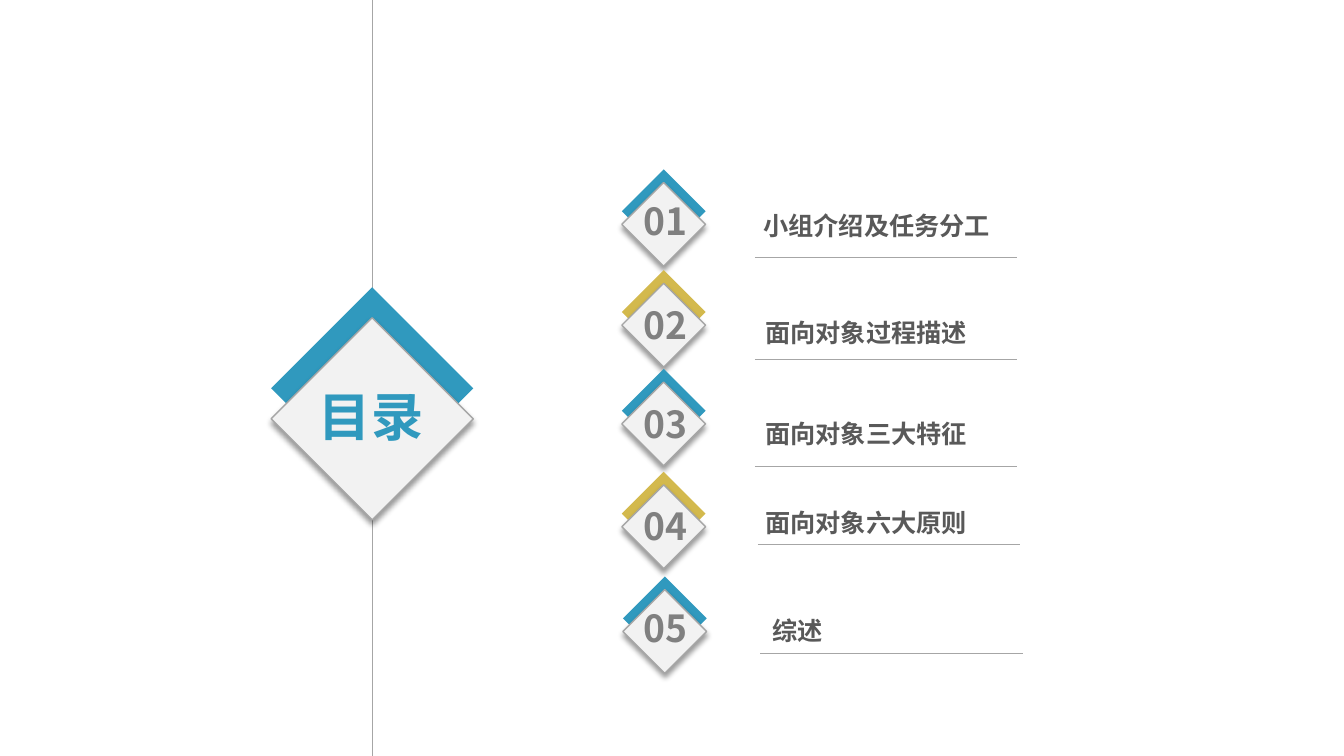
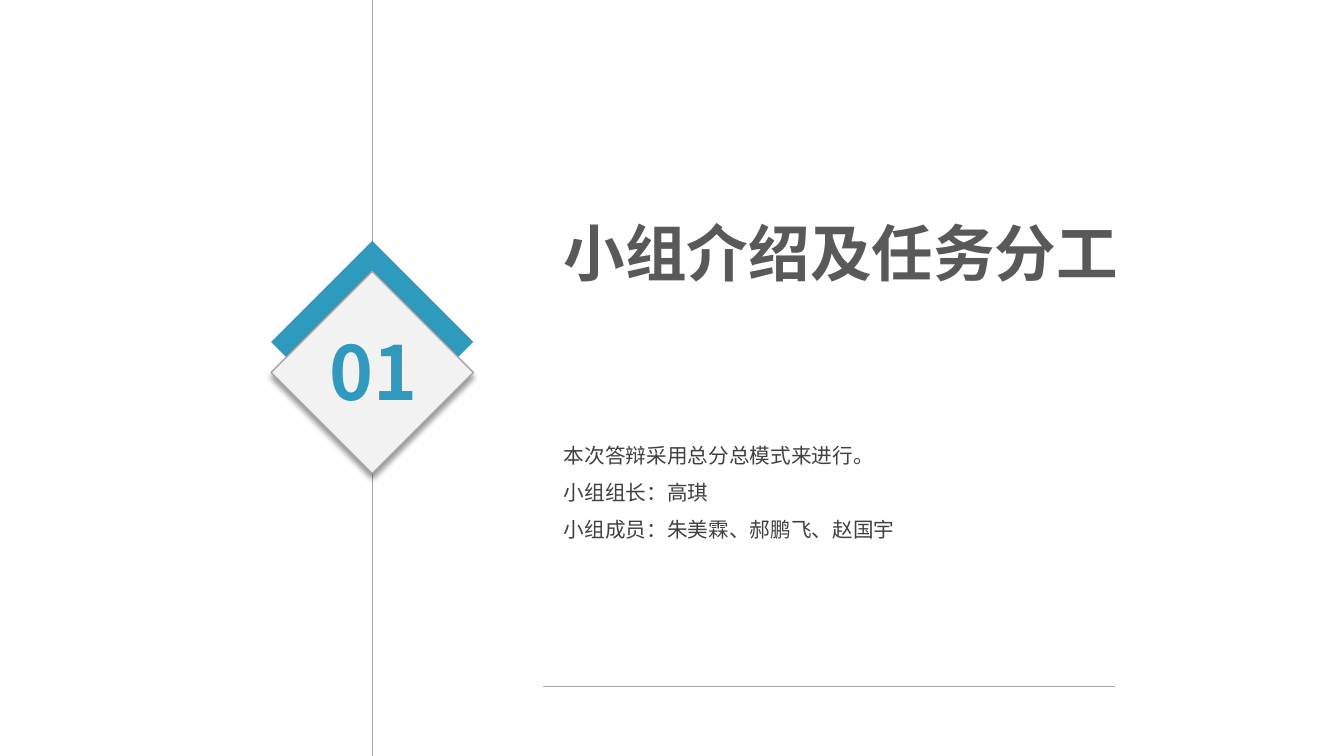
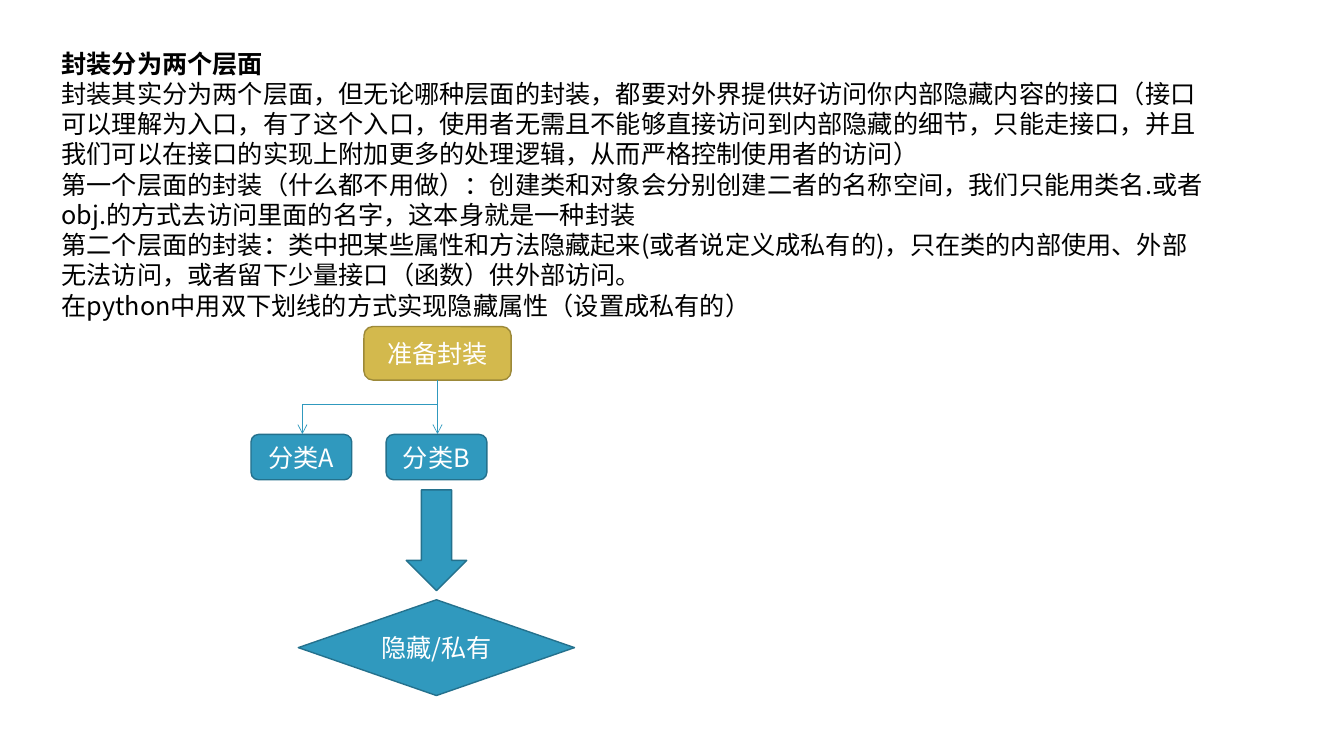
from lxml.etree import SubElement
from pptx import Presentation
from pptx.dml.color import RGBColor
from pptx.enum.shapes import MSO_CONNECTOR as LINE, MSO_SHAPE as SHAPE
from pptx.enum.text import MSO_ANCHOR as ANCHOR, MSO_AUTO_SIZE as FIT, PP_ALIGN as ALIGN
from pptx.oxml.ns import qn
from pptx.util import Pt

FONT = "Noto Sans CJK SC"
BLUE, BLUE_EDGE = RGBColor(0x30, 0x99, 0xBE), RGBColor(0x24, 0x71, 0x8D)
GOLD, GOLD_EDGE = RGBColor(0xD3, 0xB9, 0x4D), RGBColor(0x9C, 0x89, 0x39)
PALE, RULE = RGBColor(0xF2, 0xF2, 0xF2), RGBColor(0xA6, 0xA6, 0xA6)
BLACK, WHITE = RGBColor(0, 0, 0), RGBColor(0xFF, 0xFF, 0xFF)
HEADING, NUMBER, BODY = (RGBColor(v, v, v) for v in (0x59, 0x80, 0x40))
WIDE = (9.6, 4.8)
TIGHT = (7.2, 0)
TITLE_ONLY, TITLE_BODY = 5, 1
SPINE_X = 265.7

AGENDA_TITLE = "目录"
AGENDA = [
    {"text": "小组介绍及任务分工", "badge": (444.2, 121), "num_y": 138.2,
     "label": (535.7, 145.4), "rule": (539.3, 183.6)},
    {"text": "面向对象过程描述", "badge": (444.2, 193), "num_y": 212.4,
     "label": (537.1, 221.8), "rule": (539.3, 257)},
    {"text": "面向对象三大特征", "badge": (444.2, 263.5), "num_y": 283,
     "label": (537.1, 293.8), "rule": (539.3, 333.4)},
    {"text": "面向对象六大原则", "badge": (444.2, 337), "num_y": 355.7,
     "label": (537.1, 357.8), "rule": (541.4, 388.8)},
    {"text": "综述", "badge": (445, 411.8), "num_y": 429.1,
     "label": (542.2, 434.9), "rule": (542.9, 466.6)},
]

SECTION_NUMBER = "01"
SECTION_TEXT = [
    "本次答辩采用总分总模式来进行。",
    "小组组长：高琪",
    "小组成员：朱美霖、郝鹏飞、赵国宇",
]

LAYERS_TITLE = "封装分为两个层面"
LAYERS_TEXT = [
    "封装其实分为两个层面，但无论哪种层面的封装，都要对外界提供好访问你内部隐藏内容的接口（接口可以理解为入口，有了这个入口，使用者无需且不能够直接访问到内部隐藏的细节，只能走接口，并且我们可以在接口的实现上附加更多的处理逻辑，从而严格控制使用者的访问）",
    "第一个层面的封装（什么都不用做）：创建类和对象会分别创建二者的名称空间，我们只能用类名.或者obj.的方式去访问里面的名字，这本身就是一种封装",
    "第二个层面的封装：类中把某些属性和方法隐藏起来(或者说定义成私有的)，只在类的内部使用、外部无法访问，或者留下少量接口（函数）供外部访问。",
    "在python中用双下划线的方式实现隐藏属性（设置成私有的）",
]
FLOW = [
    (SHAPE.ROUNDED_RECTANGLE, (260, 233.3, 105.1, 38.2), GOLD, GOLD_EDGE, "准备封装"),
    (SHAPE.FLOWCHART_ALTERNATE_PROCESS, (179.3, 310.3, 72, 32.4), BLUE, BLUE_EDGE, "分类A"),
    (SHAPE.FLOWCHART_ALTERNATE_PROCESS, (275.8, 310.3, 72, 32.4), BLUE, BLUE_EDGE, "分类B"),
    (SHAPE.DOWN_ARROW, (290.2, 349.9, 43.2, 72), BLUE, BLUE_EDGE, ""),
    (SHAPE.FLOWCHART_DECISION, (213.1, 428.4, 197.3, 68.4), BLUE, BLUE_EDGE, "隐藏/私有"),
]


def write(sp, text, size, color, bold=False, align=ALIGN.LEFT, anchor=ANCHOR.TOP,
          inset=(7.2, 3.6), wrap=True, spacing=None):
    tf = sp.text_frame
    tf.auto_size, tf.word_wrap, tf.vertical_anchor = FIT.NONE, wrap, anchor
    tf.margin_left = tf.margin_right = Pt(inset[0])
    tf.margin_top = tf.margin_bottom = Pt(inset[1])
    lines = [text] if isinstance(text, str) else text
    for i, line in enumerate(lines):
        p = tf.add_paragraph() if i else tf.paragraphs[0]
        p.alignment, p.space_before = align, Pt(0)
        if spacing:
            p.line_spacing = spacing
        r = p.add_run()
        r.text = line
        r.font.size, r.font.bold, r.font.name = Pt(size), bold, FONT
        r.font.color.rgb = color
        SubElement(r.font._element, qn("a:ea")).set("typeface", FONT)
        if sp.is_placeholder:
            pPr = p._p.get_or_add_pPr()
            pPr.set("marL", "0")
            pPr.set("indent", "0")
            SubElement(pPr, qn("a:buNone"))


def place(sp, box):
    sp.left, sp.top, sp.width, sp.height = map(Pt, box)
    return sp


def add_text(shapes, box, text, **fmt):
    write(shapes.add_textbox(*map(Pt, box)), text, **fmt)


def add_shape(shapes, kind, box, fill, edge=None):
    sp = shapes.add_shape(kind, *map(Pt, box))
    sp.shadow.inherit = False
    sp.fill.solid()
    sp.fill.fore_color.rgb = fill
    if edge is None:
        sp.line.fill.background()
    else:
        sp.line.color.rgb, sp.line.width = edge, Pt(1)
    return sp


def add_line(s, x1, y1, x2, y2, color=RULE, arrow=False, kind=LINE.STRAIGHT):
    c = s.shapes.add_connector(kind, Pt(x1), Pt(y1), Pt(x2), Pt(y2))
    c.line.color.rgb, c.line.width = color, Pt(0.5)
    if arrow:
        SubElement(c.line._get_or_add_ln(), qn("a:tailEnd")).set("type", "arrow")
    SubElement(c.element.spPr, qn("a:effectLst"))
    return c


def add_corner(s, x1, y1, x2, y2, color):
    w, h = y2 - y1, x1 - x2
    left, top = (x1 + x2 - w) / 2, (y1 + y2 - h) / 2
    c = add_line(s, left, top, left + w, top + h, color, kind=LINE.ELBOW)
    c.element.spPr.find(qn("a:xfrm")).set("rot", "5400000")
    c.element.spPr.find(qn("a:prstGeom")).set("prst", "bentConnector2")


def add_badge(shapes, x, y, size, drop, color):
    add_shape(shapes, SHAPE.FLOWCHART_DECISION, (x, y, size, size), color)
    front = add_shape(shapes, SHAPE.FLOWCHART_DECISION, (x, y + drop, size, size), PALE, RULE)
    shadow = SubElement(front.element.spPr.find(qn("a:effectLst")), qn("a:outerShdw"))
    for key, value in (("blurRad", Pt(4)), ("dist", Pt(3)), ("dir", 5400000),
                       ("algn", "t"), ("rotWithShape", 0)):
        shadow.set(key, str(int(value)) if key != "algn" else value)
    black = SubElement(shadow, qn("a:srgbClr"))
    black.set("val", str(BLACK))
    SubElement(black, qn("a:alpha")).set("val", "40000")


def add_spine(s, badge_y):
    add_line(s, SPINE_X, 0, SPINE_X, 540)
    add_badge(s.shapes, 193.7, badge_y, 144.4, 21.8, BLUE)


def add_slide(prs, layout):
    return prs.slides.add_slide(prs.slide_layouts[layout])


def agenda_slide(prs):
    s = add_slide(prs, TITLE_ONLY)
    add_spine(s, 205.2)
    title = place(s.shapes.title, (218.2, 270, 95, 54.7))
    write(title, AGENDA_TITLE, 37.3, BLUE, bold=True, inset=WIDE, wrap=False)
    s.shapes.element.append(title.element)
    for i, item in enumerate(AGENDA):
        x, y = item["rule"]
        add_line(s, x, y, x + 187.5, y)
        add_text(s.shapes, (*item["label"], 196.6, 31.7), item["text"],
                 size=18, color=HEADING, bold=True, inset=WIDE)
        group = s.shapes.add_group_shape().shapes
        add_badge(group, *item["badge"], 59.8, 9.4, GOLD if i % 2 else BLUE)
        add_text(group, (452.9, item["num_y"], 47.5, 39.6), f"{i + 1:02}",
                 size=26.6, color=NUMBER, bold=True, wrap=False)


def section_slide(prs):
    s = add_slide(prs, TITLE_BODY)
    add_spine(s, 172.1)
    add_text(s.shapes, (226.1, 228.2, 85.7, 74.2), SECTION_NUMBER,
             size=53.3, color=BLUE, bold=True, inset=WIDE, wrap=False)
    write(place(s.shapes.title, (393.1, 149, 419, 63.4)), AGENDA[0]["text"],
          44, HEADING, bold=True, inset=WIDE, wrap=False)
    write(place(s.placeholders[1], (393.1, 302.4, 425.5, 89.3)), SECTION_TEXT,
          14.7, BODY, inset=WIDE, spacing=1.5)
    add_line(s, 388.1, 490.3, 796.3, 490.3)


def layers_slide(prs):
    s = add_slide(prs, TITLE_BODY)
    x, y, w, line_h = 36.7, 34.3, 832.3, 21.6
    write(place(s.shapes.title, (x, y, w, line_h)), LAYERS_TITLE,
          18, BLACK, bold=True, inset=TIGHT)
    write(place(s.placeholders[1], (x, y + line_h, w, 8 * line_h)), LAYERS_TEXT,
          18, BLACK, inset=TIGHT)
    for kind, box, fill, edge, text in FLOW:
        sp = add_shape(s.shapes, kind, box, fill, edge)
        if text:
            write(sp, text, 18, WHITE, align=ALIGN.CENTER, anchor=ANCHOR.MIDDLE)
    stem, branch, fork = 312.5, 216, 288.7
    add_corner(s, stem, 271.4, branch, fork, BLUE)
    for tip in (branch, stem):
        add_line(s, tip, fork, tip, 310, BLUE, arrow=True)


def main():
    prs = Presentation()
    prs.slide_width, prs.slide_height = Pt(960), Pt(540)
    agenda_slide(prs)
    section_slide(prs)
    layers_slide(prs)
    prs.save("out.pptx")


if __name__ == "__main__":
    main()
